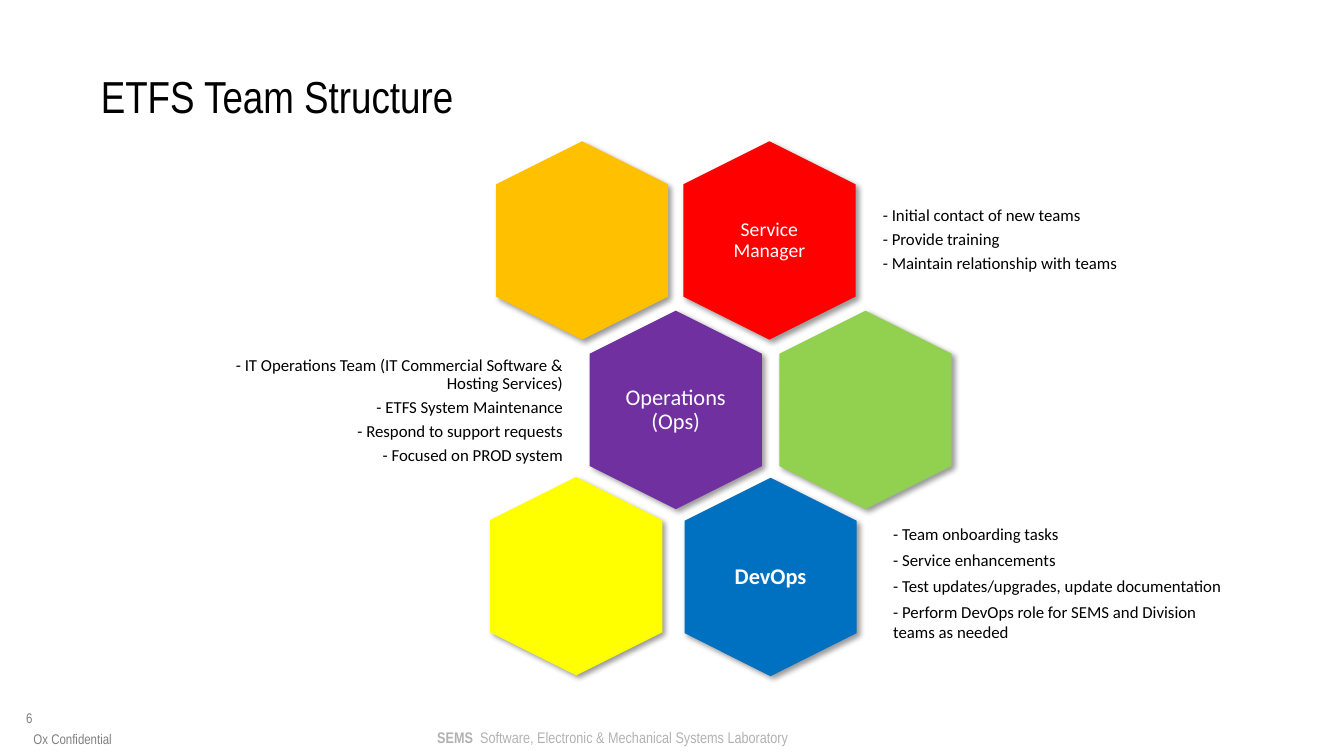
from lxml.etree import SubElement
from pptx import Presentation
from pptx.dml.color import RGBColor
from pptx.enum.shapes import MSO_SHAPE
from pptx.enum.text import MSO_ANCHOR, PP_ALIGN
from pptx.oxml.ns import qn
from pptx.util import Cm, Pt

COLORS = {
    "black": "000000", "white": "FFFFFF", "gray": "808080", "silver": "B2B2B2",
    "red": "FF0000", "orange": "FFC000", "purple": "7030A0",
    "green": "92D050", "blue": "0070C0", "yellow": "FFFF00",
}
HEX_W, HEX_H = 5, 4.34
LABEL_W, LABEL_H = 3, 3.43
SIDES = ("margin_left", "margin_top", "margin_right", "margin_bottom")

# colour, centre x, centre y, label, label format
TEAMS = [
    ("red", 19.39, 6.06, "Service Manager", {"size": 14}),
    ("orange", 14.67, 6.06, None, {}),
    ("purple", 17.03, 10.33, "Operations (Ops)", {"size": 16}),
    ("green", 21.81, 10.33, None, {}),
    ("blue", 19.42, 14.54, "DevOps", {"size": 16, "bold": True}),
    ("yellow", 14.52, 14.52, None, {}),
]

# box, alignment, line spacing, lines
NOTES = [
    ((22.12, 4.55, 8.89, 3), PP_ALIGN.LEFT, 0.9, [
        "- Initial contact of new teams",
        "- Provide training",
        "- Maintain relationship with teams"]),
    ((5.66, 8.86, 8.66, 3), PP_ALIGN.RIGHT, 0.9, [
        "- IT Operations Team (IT Commercial Software & Hosting Services)",
        "- ETFS System Maintenance",
        "- Respond to support requests",
        "- Focused on PROD system"]),
    ((22.38, 13.21, 8.64, 2.95), PP_ALIGN.LEFT, 1, [
        "- Team onboarding tasks",
        "- Service enhancements",
        "- Test updates/upgrades, update documentation",
        "- Perform DevOps role for SEMS and Division teams as needed"]),
]


def apply(target, values):
    for name, value in values.items():
        setattr(target, name, value)


class Deck:
    """Holds the text style and the slide being built."""

    def __init__(self):
        self.prs = Presentation()
        apply(self.prs, {"slide_width": Cm(33.87), "slide_height": Cm(19.05)})
        self.slide = self.prs.slides.add_slide(self.prs.slide_layouts[5])
        self.narrow = {"font": "Arial Narrow", "pad": 0}
        self.body = {"font": "Calibri", "anchor": MSO_ANCHOR.MIDDLE, "gap": 0.35}

    def fill(self, shape, lines, font, size, color="black", bold=False, pad=0.13,
             anchor=MSO_ANCHOR.TOP, align=PP_ALIGN.LEFT, gap=0, spacing=1, wrap=True):
        """Put text in a shape; a line is a string or a list of (text, bold) runs."""
        frame = shape.text_frame
        apply(frame, {"word_wrap": wrap, "vertical_anchor": anchor,
                      **dict.fromkeys(SIDES, Cm(pad))})
        for i, line in enumerate(lines):
            para = frame.add_paragraph() if i else frame.paragraphs[0]
            apply(para, {"alignment": align, "line_spacing": spacing,
                         "space_before": Pt(0), "space_after": Pt(size * gap)})
            for text, heavy in [(line, bold)] if isinstance(line, str) else line:
                run = para.add_run()
                run.text = text
                apply(run.font, {"name": font, "size": Pt(size), "bold": heavy})
                run.font.color.rgb = RGBColor.from_string(COLORS[color])

    def title(self, text, box):
        shape = self.slide.shapes.title
        apply(shape, dict(zip(("left", "top", "width", "height"), map(Cm, box))))
        self.fill(shape, [text], size=32, **self.narrow)

    def text(self, box, lines, **style):
        shape = self.slide.shapes.add_textbox(*map(Cm, box))
        self.fill(shape, lines, **style)

    def cell(self, color, x, y):
        """Draw an upright hexagon around its centre."""
        box = x - HEX_W / 2, y - HEX_H / 2, HEX_W, HEX_H
        shape = self.slide.shapes.add_shape(MSO_SHAPE.HEXAGON, *map(Cm, box))
        shape.rotation = 90
        shape.adjustments[0] = 0.25
        shape.fill.solid()
        shape.fill.fore_color.rgb = RGBColor.from_string(COLORS[color])
        shape.line.fill.background()
        self.shade(shape)

    def shade(self, shape):
        """Give a shape a soft shadow to the lower right."""
        shape.shadow.inherit = False
        effects = shape.element.spPr.find(qn("a:effectLst"))
        outer = SubElement(effects, qn("a:outerShdw"), blurRad=str(Pt(4)),
                           dist=str(Pt(3)), dir="2700000", algn="tl", rotWithShape="0")
        tint = SubElement(outer, qn("a:srgbClr"), val=COLORS["black"])
        SubElement(tint, qn("a:alpha"), val="40000")


def main():
    deck = Deck()
    deck.title("ETFS Team Structure", (2.54, 1.73, 30.48, 1.47))
    for color, x, y, label, style in TEAMS:
        deck.cell(color, x, y)
        if label:
            box = x - LABEL_W / 2, y - LABEL_H / 2, LABEL_W, LABEL_H
            deck.text(box, [label], color="white", align=PP_ALIGN.CENTER,
                      spacing=0.9, pad=0.17, **style, **deck.body)
    for box, align, spacing, lines in NOTES:
        deck.text(box, lines, size=12, align=align, spacing=spacing, **deck.body)

    deck.text((0.66, 17.88, 1.8, 0.64), ["6"], size=10, color="gray", **deck.narrow)
    deck.text((0.28, 18.26, 3.1, 0.56), ["Ox Confidential"], size=10, color="gray",
              align=PP_ALIGN.CENTER, anchor=MSO_ANCHOR.BOTTOM, **deck.narrow)
    lab = [("SEMS", True),
           ("  Software, Electronic & Mechanical Systems Laboratory", False)]
    deck.text((11.02, 18.36, 8.89, 0.48), [lab], size=11, color="silver",
              wrap=False, **deck.narrow)
    deck.prs.save("out.pptx")


if __name__ == "__main__":
    main()
